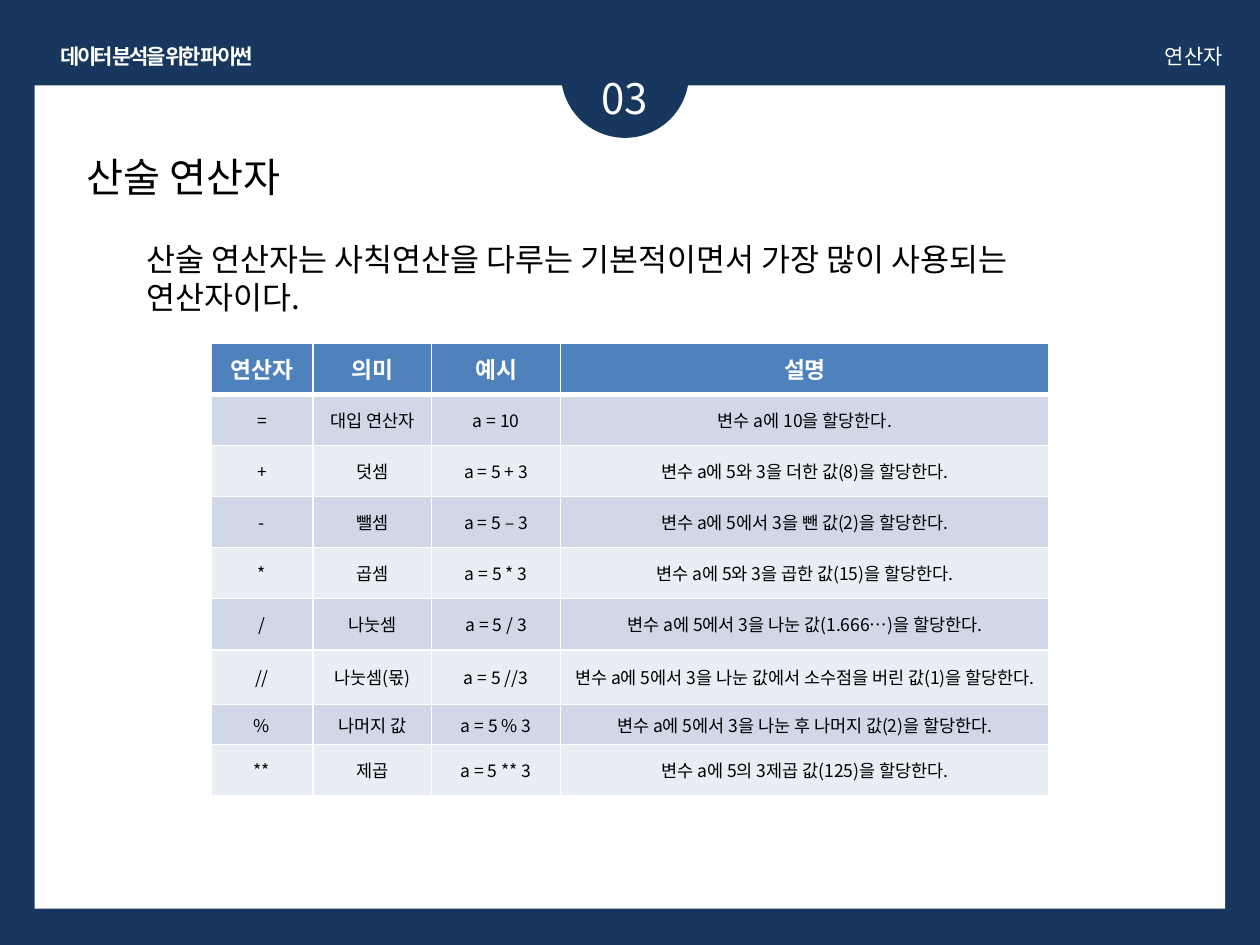
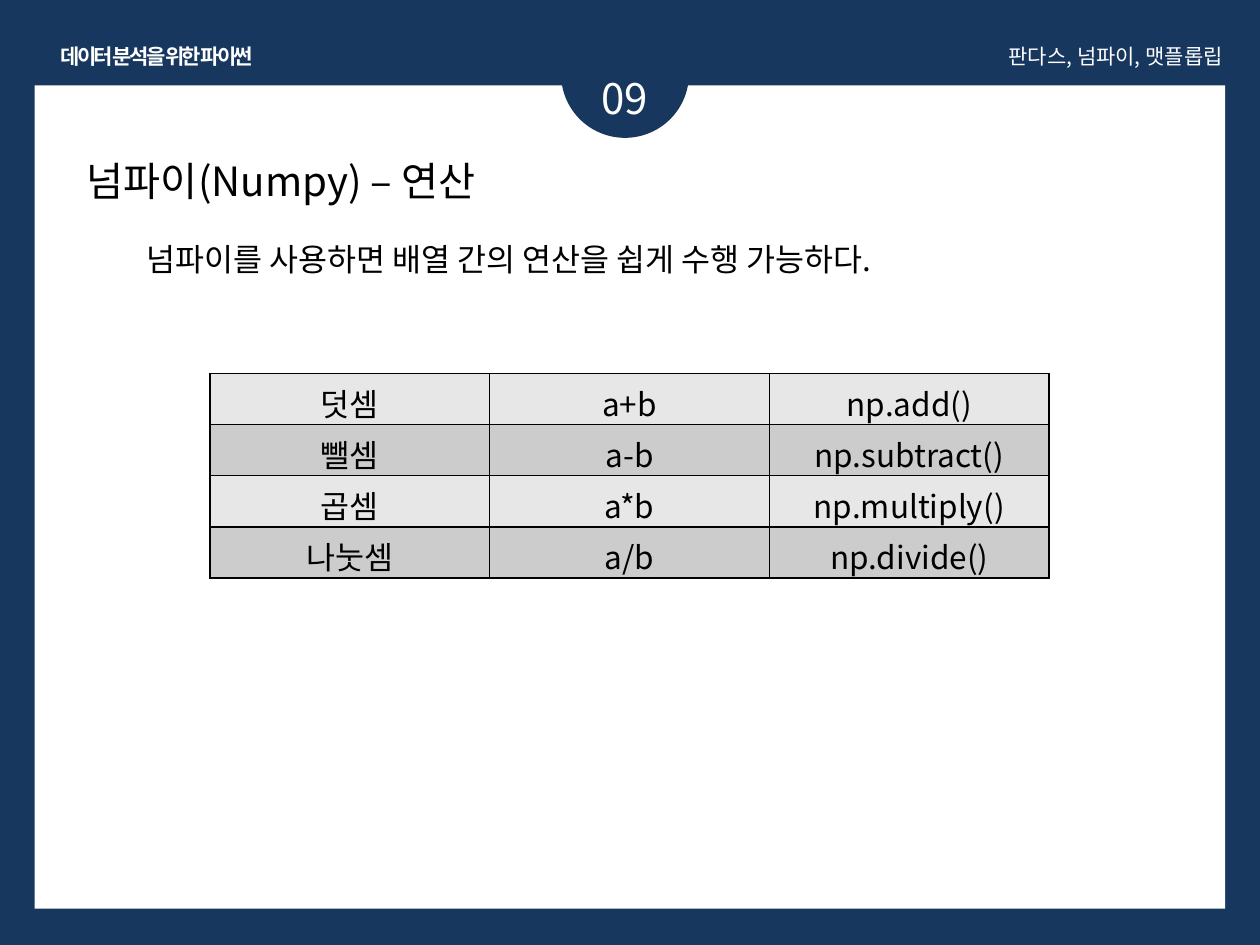
from lxml import etree
from pptx import Presentation
from pptx.dml.color import RGBColor
from pptx.enum.shapes import MSO_SHAPE
from pptx.enum.text import MSO_ANCHOR, MSO_AUTO_SIZE, PP_ALIGN
from pptx.oxml.ns import qn
from pptx.util import Cm, Pt

LEFT, CENTER, RIGHT = PP_ALIGN.LEFT, PP_ALIGN.CENTER, PP_ALIGN.RIGHT
TOP, MIDDLE = MSO_ANCHOR.TOP, MSO_ANCHOR.MIDDLE
RECTANGLE, OVAL = MSO_SHAPE.RECTANGLE, MSO_SHAPE.OVAL
FIT_SHAPE = MSO_AUTO_SIZE.SHAPE_TO_FIT_TEXT

FONT = "Noto Sans CJK KR"
COURSE = "데이터 분석을 위한 파이썬"
BLANK_LAYOUT = 6
COLORS = {
    "navy": "17375E",
    "white": "FFFFFF",
    "black": "000000",
    "header": "4F81BD",
    "blue_band": "D0D8E8",
    "pale_band": "E9EDF4",
    "light_gray": "E7E7E7",
    "gray": "CCCCCC",
}

OPERATORS = [
    ("연산자", "의미", "예시", "설명"),
    ("=", "대입 연산자", "a = 10", "변수 a에 10을 할당한다."),
    ("+", "덧셈", "a = 5 + 3", "변수 a에 5와 3을 더한 값(8)을 할당한다."),
    ("-", "뺄셈", "a = 5 – 3", "변수 a에 5에서 3을 뺀 값(2)을 할당한다."),
    ("*", "곱셈", "a = 5 * 3", "변수 a에 5와 3을 곱한 값(15)을 할당한다."),
    ("/", "나눗셈", "a = 5 / 3", "변수 a에 5에서 3을 나눈 값(1.666…)을 할당한다."),
    ("//", "나눗셈(몫)", "a = 5 //3",
     "변수 a에 5에서 3을 나눈 값에서 소수점을 버린 값(1)을 할당한다."),
    ("%", "나머지 값", "a = 5 % 3", "변수 a에 5에서 3을 나눈 후 나머지 값(2)을 할당한다."),
    ("**", "제곱", "a = 5 ** 3", "변수 a에 5의 3제곱 값(125)을 할당한다."),
]
ARRAY_OPERATIONS = [
    ("덧셈", "a+b", "np.add()"),
    ("뺄셈", "a-b", "np.subtract()"),
    ("곱셈", "a*b", "np.multiply()"),
    ("나눗셈", "a/b", "np.divide()"),
]


def rgb(name):
    return RGBColor.from_string(COLORS[name])


def style_paragraph(para, size, color, align, bold=False, spacing=None):
    para.alignment = align
    font = para.font
    font.size, font.bold, font.name = Pt(size), bold, FONT
    font.color.rgb = rgb(color)
    properties = para._p.get_or_add_pPr().get_or_add_defRPr()
    etree.SubElement(properties, qn("a:ea"), typeface=FONT)
    if spacing is not None:
        properties.set("spc", str(int(spacing * 100)))


def add_text(page, area, text, size, color="black", align=LEFT, wrap=True, **style):
    box = page.shapes.add_textbox(*map(Cm, area))
    frame = box.text_frame
    frame.word_wrap = wrap
    frame.auto_size = FIT_SHAPE
    para = frame.paragraphs[0]
    para.text = text
    style_paragraph(para, size, color, align, **style)


def add_block(page, kind, area, color):
    shape = page.shapes.add_shape(kind, *map(Cm, area))
    shape.shadow.inherit = False
    shape.fill.solid()
    shape.fill.fore_color.rgb = rgb(color)
    shape.line.fill.background()


def set_borders(cell, color, top=1, bottom=1):
    properties = cell._tc.get_or_add_tcPr()
    widths = {"lnL": 1, "lnR": 1, "lnT": top, "lnB": bottom}
    for position, (side, width) in enumerate(widths.items()):
        line = etree.Element(qn(f"a:{side}"), w=str(Pt(width)))
        fill = etree.SubElement(line, qn("a:solidFill"))
        etree.SubElement(fill, qn("a:srgbClr"), val=COLORS[color])
        properties.insert(position, line)


def fill_cell(cell, text, fill, anchor, **style):
    cell.fill.solid()
    cell.fill.fore_color.rgb = rgb(fill)
    cell.vertical_anchor = anchor
    para = cell.text_frame.paragraphs[0]
    para.text = text
    style_paragraph(para, align=CENTER, **style)


def add_grid(page, left, top, widths, heights):
    frame = page.shapes.add_table(len(heights), len(widths), Cm(left), Cm(top),
                                  Cm(sum(widths)), Cm(sum(heights)))
    table = frame.table
    table.first_row = table.horz_banding = False
    for column, width in zip(table.columns, widths):
        column.width = Cm(width)
    for row, height in zip(table.rows, heights):
        row.height = Cm(height)
    return table


def add_operator_table(page):
    heights = [1.03] * len(OPERATORS)
    heights[7] = 0.81
    table = add_grid(page, 4.25, 6.92, [2.06, 2.39, 2.6, 9.85], heights)
    for r, row in enumerate(OPERATORS):
        if r == 0:
            fill, style = "header", {"size": 13, "color": "white", "bold": True}
        else:
            fill = "blue_band" if r % 2 else "pale_band"
            style = {"size": 10, "color": "black"}
        for c, text in enumerate(row):
            cell = table.cell(r, c)
            fill_cell(cell, text, fill, MIDDLE, **style)
            set_borders(cell, "white", top=3 if r == 1 else 1, bottom=3 if r == 0 else 1)


def add_array_table(page):
    table = add_grid(page, 4.23, 7.53, [5.64] * 3, [1.03] * len(ARRAY_OPERATIONS))
    for r, row in enumerate(ARRAY_OPERATIONS):
        for c, text in enumerate(row):
            cell = table.cell(r, c)
            fill_cell(cell, text, "gray" if r % 2 else "light_gray", TOP,
                      size=18, color="black")
            set_borders(cell, "black")


def add_page(deck, number, chapter, title, title_top, summary, summary_height):
    page = deck.slides.add_slide(deck.slide_layouts[BLANK_LAYOUT])
    add_block(page, RECTANGLE, (0.7, 1.72, 24, 16.6), "white")
    add_block(page, OVAL, (11.31, 0.2, 2.58, 2.58), "navy")
    add_text(page, (0.7, 0.75, 4.93, 0.77), COURSE, 12, "white", CENTER,
             wrap=False, bold=True, spacing=-1.5)
    add_text(page, (11.09, 1.33, 3, 1.28), number, 24, "white", CENTER)
    add_text(page, (14.9, 0.75, 10, 0.77), chapter, 12, "white", RIGHT)
    add_text(page, (1.5, title_top, 22.2, 1.25), title, 23)
    add_text(page, (2.7, 4.72, 20, summary_height), summary, 18)
    return page


def main():
    deck = Presentation()
    deck.slide_width, deck.slide_height = Cm(25.4), Cm(19.05)
    background = deck.slide_master.background.fill
    background.solid()
    background.fore_color.rgb = rgb("navy")

    operators = add_page(
        deck, "03", "연산자", "산술 연산자", 2.95,
        "산술 연산자는 사칙연산을 다루는 기본적이면서 가장 많이 사용되는 연산자이다.", 1.8)
    add_operator_table(operators)

    arrays = add_page(
        deck, "09", "판다스, 넘파이, 맷플롭립", "넘파이(Numpy) – 연산", 3.02,
        "넘파이를 사용하면 배열 간의 연산을 쉽게 수행 가능하다.", 1.03)
    add_array_table(arrays)

    deck.save("out.pptx")


if __name__ == "__main__":
    main()
